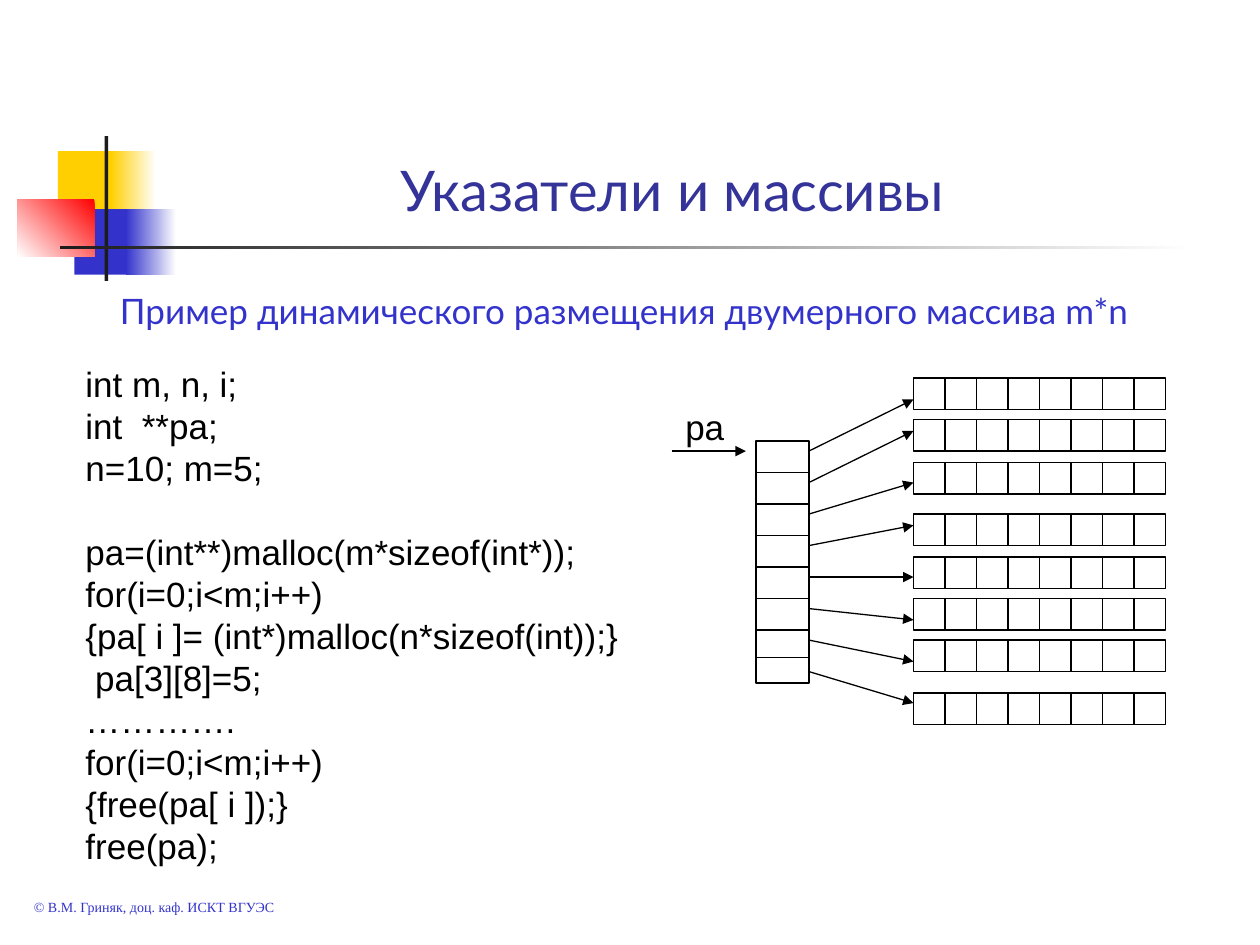
from dataclasses import dataclass

from lxml import etree
from pptx import Presentation
from pptx.dml.color import RGBColor
from pptx.enum.shapes import MSO_CONNECTOR, MSO_SHAPE
from pptx.enum.text import MSO_ANCHOR, MSO_AUTO_SIZE, PP_ALIGN
from pptx.oxml.ns import qn
from pptx.util import Inches, Pt

RECTANGLE = MSO_SHAPE.RECTANGLE
STRAIGHT = MSO_CONNECTOR.STRAIGHT
CENTER, JUSTIFY, LEFT = PP_ALIGN.CENTER, PP_ALIGN.JUSTIFY, PP_ALIGN.LEFT
BOTTOM = MSO_ANCHOR.BOTTOM
NO_AUTOFIT = MSO_AUTO_SIZE.NONE


@dataclass(frozen=True)
class Theme:
    yellow: str = "FFCF01"
    blue: str = "3333CC"
    red: str = "FF0000"
    dark: str = "1C1C1C"
    white: str = "FFFFFF"
    title: str = "333399"
    black: str = "000000"
    heading_font: str = "Lato"
    code_font: str = "Arial"
    footer_font: str = "Times New Roman"
    title_size: int = 32
    body_size: int = 20
    footer_size: int = 8
    line_width: float = 0.75


THEME = Theme()

CODE = """int m, n, i;
int  **pa;
n=10; m=5;

pa=(int**)malloc(m*sizeof(int*));
for(i=0;i<m;i++)
{pa[ i ]= (int*)malloc(n*sizeof(int));}
 pa[3][8]=5;
………….
for(i=0;i<m;i++)
{free(pa[ i ]);}
free(pa);"""

# Pointer column and the rows it points to
COLUMN_LEFT, COLUMN_RIGHT, COLUMN_TOP, COLUMN_HEIGHT = 6, 6.42, 3.5, 1.92
COLUMN_DIVIDERS = [3.75, 4, 4.25, 4.5, 4.75, 5, 5.22]
ROW_LEFT, ROW_WIDTH, CELL, CELLS = 7.25, 2, 0.25, 8
ROW_TOPS = [3, 3.33, 3.67, 4.08, 4.42, 4.75, 5.08, 5.5]
ARROW_ENDS = [3.17, 3.42, 3.83, 4.17, 4.58, 4.92, 5.25, 5.58]
FIRST_ARROW = 3.58


def color(value):
    return RGBColor.from_string(value)


def add_rect(slide, left, top, width, height):
    rect = slide.shapes.add_shape(
        RECTANGLE, Inches(left), Inches(top), Inches(width), Inches(height))
    rect.shadow.inherit = False
    return rect


def add_block(slide, box, start, end=None, angle=180):
    """Borderless block, solid or fading from start to end."""
    block = add_rect(slide, *box)
    block.line.fill.background()
    if end is None:
        block.fill.solid()
        block.fill.fore_color.rgb = color(start)
        return
    block.fill.gradient()
    block.fill.gradient_angle = angle
    for stop, value, position in zip(block.fill.gradient_stops, (start, end), (0, 1)):
        stop.color.rgb = color(value)
        stop.position = position


def add_frame(slide, *box):
    frame = add_rect(slide, *box)
    frame.fill.background()
    frame.line.color.rgb = color(THEME.black)
    frame.line.width = Pt(THEME.line_width)


def add_line(slide, x1, y1, x2, y2, arrow=False):
    line = slide.shapes.add_connector(
        STRAIGHT, Inches(x1), Inches(y1), Inches(x2), Inches(y2))
    line.line.color.rgb = color(THEME.black)
    line.line.width = Pt(THEME.line_width)
    if arrow:
        etree.SubElement(line.line._get_or_add_ln(), qn("a:tailEnd"), type="triangle")
    etree.SubElement(line._element.spPr, qn("a:effectLst"))


def format_text(frame, text, font, size, tint, align=LEFT):
    frame.text = text
    for paragraph in frame.paragraphs:
        paragraph.alignment = align
        if not paragraph.runs:  # blank code line keeps the code's height
            etree.SubElement(paragraph._p, qn("a:endParaRPr"), sz=str(size * 100))
        for run in paragraph.runs:
            run.font.name = font
            run.font.size = Pt(size)
            run.font.color.rgb = color(tint)


def add_text(slide, box, text, font, size, tint, align=LEFT, wrap=True):
    frame = slide.shapes.add_textbox(*map(Inches, box)).text_frame
    frame.word_wrap = wrap
    format_text(frame, text, font, size, tint, align)


def add_decoration(slide):
    t = THEME
    add_block(slide, (0.46, 1.2, 0.48, 0.52), t.yellow)
    add_block(slide, (0.88, 1.2, 0.36, 0.52), t.white, t.yellow)
    add_block(slide, (0.59, 1.66, 0.46, 0.52), t.blue)
    add_block(slide, (1, 1.66, 0.4, 0.52), t.white, t.blue)
    add_block(slide, (0.14, 1.58, 0.61, 0.46), t.red, t.white, angle=225)
    add_block(slide, (0.83, 1.08, 0.03, 1.15), t.dark)
    add_block(slide, (0.48, 1.95, 9, 0.03), t.white, t.dark)


def set_title(slide, text):
    title = slide.shapes.title
    title.left, title.top = Inches(1.08), Inches(0.58)
    title.width, title.height = Inches(8.52), Inches(1.24)
    frame = title.text_frame
    frame.auto_size = NO_AUTOFIT
    frame.vertical_anchor = BOTTOM
    format_text(frame, text, THEME.heading_font, THEME.title_size, THEME.title, CENTER)


def add_pointer_column(slide):
    add_frame(slide, COLUMN_LEFT, COLUMN_TOP, COLUMN_RIGHT - COLUMN_LEFT, COLUMN_HEIGHT)
    for y in COLUMN_DIVIDERS:
        add_line(slide, COLUMN_LEFT, y, COLUMN_RIGHT, y)


def add_array_row(slide, top):
    add_frame(slide, ROW_LEFT, top, ROW_WIDTH, CELL)
    for index in range(1, CELLS):
        x = ROW_LEFT + index * CELL
        add_line(slide, x, top, x, top + CELL)


def add_memory_diagram(slide):
    add_pointer_column(slide)
    for top in ROW_TOPS:
        add_array_row(slide, top)
    add_line(slide, 5.33, FIRST_ARROW, 5.92, FIRST_ARROW, arrow=True)
    for index, end in enumerate(ARROW_ENDS):
        start = FIRST_ARROW + index * CELL
        add_line(slide, COLUMN_RIGHT, start, ROW_LEFT, end, arrow=True)
    add_text(slide, (5.34, 3.17, 0.51, 0.44), "pa",
             THEME.code_font, THEME.body_size, THEME.black, wrap=False)


def main():
    deck = Presentation()
    deck.slide_width, deck.slide_height = Inches(10), Inches(7.5)
    slide = deck.slides.add_slide(deck.slide_layouts[5])

    # Heading
    add_decoration(slide)
    set_title(slide, "Указатели и массивы")

    # Footer, subtitle and code
    add_text(slide, (0.17, 7.08, 2.67, 0.24), "© В.М. Гриняк, доц. каф. ИСКТ ВГУЭС",
             THEME.footer_font, THEME.footer_size, THEME.blue)
    add_text(slide, (0.33, 2.25, 9.25, 0.44),
             "Пример динамического размещения двумерного массива m*n",
             THEME.heading_font, THEME.body_size, THEME.blue, CENTER)
    add_text(slide, (0.58, 2.83, 9.08, 4.44), CODE,
             THEME.code_font, THEME.body_size, THEME.black, JUSTIFY)

    # Array layout in memory
    add_memory_diagram(slide)
    deck.save("out.pptx")


if __name__ == "__main__":
    main()
